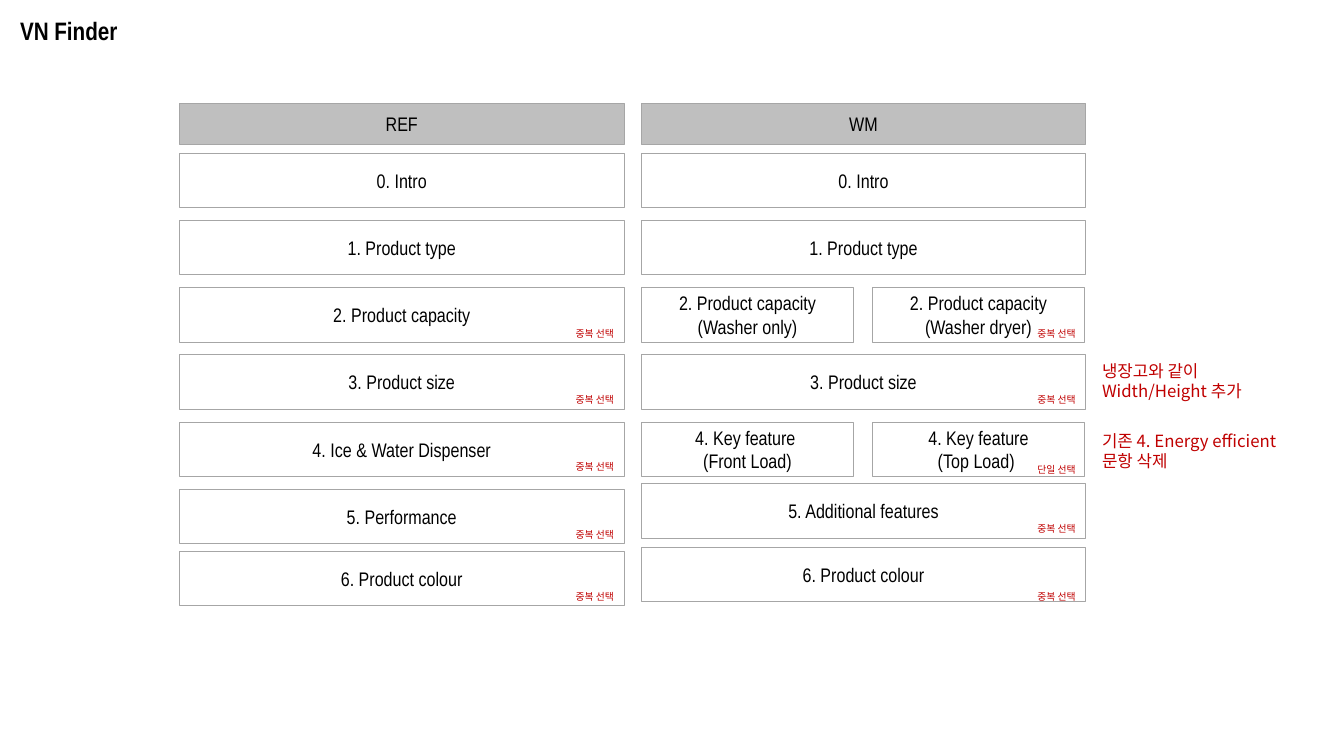
"""Build the VN Finder slide comparing the REF and WM question flows."""
from dataclasses import dataclass

from lxml import etree
from pptx import Presentation
from pptx.dml.color import RGBColor
from pptx.enum.shapes import MSO_SHAPE
from pptx.enum.text import MSO_ANCHOR, PP_ALIGN
from pptx.oxml.ns import qn
from pptx.util import Inches, Pt

RECTANGLE = MSO_SHAPE.RECTANGLE
MIDDLE = MSO_ANCHOR.MIDDLE
CENTER = PP_ALIGN.CENTER

LATIN_FONT = "Arial Narrow"
KOREAN_FONT = "Noto Sans CJK KR"
BLACK, RED, WHITE = "000000", "C00000", "FFFFFF"
HEADER_GREY, LINE_GREY = "BFBFBF", "A6A6A6"

FULL_WIDTH, HALF_WIDTH = 4.41, 2.11
HALF_OFFSET, TAG_OFFSET = 2.29, 3.92
HEADER_TOP, HEADER_HEIGHT = 1.03, 0.4
FIRST_TOP, ROW_PITCH, ROW_HEIGHT = 1.52, 0.667, 0.54
MULTIPLE, SINGLE = "중복 선택", "단일 선택"


@dataclass
class Step:
    labels: list[str]
    tag_top: float | None = None
    tag: str = MULTIPLE
    top: float | None = None


@dataclass
class Flow:
    title: str
    left: float
    steps: list[Step]


@dataclass
class Note:
    text: str
    left: float
    top: float
    width: float
    height: float
    size: float


FLOWS = [
    Flow("REF", 1.78, [
        Step(["0. Intro"]),
        Step(["1. Product type"]),
        Step(["2. Product capacity"], 3.24),
        Step(["3. Product size"], 3.9),
        Step(["4. Ice & Water Dispenser"], 4.56),
        Step(["5. Performance"], 5.24),
        Step(["6. Product colour"], 5.85, top=5.47),
    ]),
    Flow("WM", 6.36, [
        Step(["0. Intro"]),
        Step(["1. Product type"]),
        Step(["2. Product capacity\n(Washer only)",
              "2. Product capacity\n(Washer dryer)"], 3.24),
        Step(["3. Product size"], 3.9),
        Step(["4. Key feature \n(Front Load)",
              "4. Key feature\n(Top Load) "], 4.59, SINGLE),
        Step(["5. Additional features"], 5.18, top=4.8),
        Step(["6. Product colour"], 5.85, top=5.43),
    ]),
]

REMARKS = [
    Note("냉장고와 같이 Width/Height 추가", 10.92, 3.57, 1.99, 0.43, 12),
    Note("기존 4. Energy efficient 문항 삭제", 10.92, 4.26, 1.99, 0.43, 12),
]


def color(value: str) -> RGBColor:
    return RGBColor.from_string(value)


def set_margins(frame, margin: float) -> None:
    frame.margin_left = frame.margin_right = Inches(margin)
    frame.margin_top = frame.margin_bottom = Inches(margin)


def style_font(font, name: str, size: float, hue: str) -> None:
    font.name = name
    font.size = Pt(size)
    font.color.rgb = color(hue)


def add_box(page, label: str, left: float, top: float, width: float,
            height: float, fill: str | None = None) -> None:
    box = page.shapes.add_shape(RECTANGLE, Inches(left), Inches(top),
                                Inches(width), Inches(height))
    box.shadow.inherit = False
    if fill:
        box.fill.solid()
        box.fill.fore_color.rgb = color(fill)
    else:
        box.fill.background()
    box.line.color.rgb = color(LINE_GREY)
    box.line.width = Pt(0.75)
    frame = box.text_frame
    frame.word_wrap = True
    frame.vertical_anchor = MIDDLE
    set_margins(frame, 0)
    frame.text = label
    for para in frame.paragraphs:
        para.alignment = CENTER
        style_font(para.font, LATIN_FONT, 14, BLACK)


def add_note(page, note: Note) -> None:
    box = page.shapes.add_textbox(Inches(note.left), Inches(note.top),
                                  Inches(note.width), Inches(note.height))
    frame = box.text_frame
    frame.word_wrap = True
    set_margins(frame, 0.01)
    para = frame.paragraphs[0]
    para.space_before = Pt(3)
    span = para.add_run()
    span.text = note.text
    style_font(span.font, KOREAN_FONT, note.size, RED)
    east_asian = etree.Element(qn("a:ea"), typeface=KOREAN_FONT)
    span.font._element.find(qn("a:latin")).addnext(east_asian)


def add_title(page, text: str) -> None:
    box = page.shapes.add_textbox(Inches(0.1), Inches(0.1), Inches(1.18), Inches(0.4))
    box.text_frame.word_wrap = False
    box.text_frame.text = text
    font = box.text_frame.paragraphs[0].font
    style_font(font, LATIN_FONT, 18, BLACK)
    font.bold = True


def add_flow(page, flow: Flow) -> None:
    add_box(page, flow.title, flow.left, HEADER_TOP, FULL_WIDTH, HEADER_HEIGHT, HEADER_GREY)
    for row, step in enumerate(flow.steps):
        top = step.top or FIRST_TOP + row * ROW_PITCH
        width = FULL_WIDTH if len(step.labels) == 1 else HALF_WIDTH
        fill = WHITE if row == 0 else None
        for column, label in enumerate(step.labels):
            left = flow.left + column * HALF_OFFSET
            add_box(page, label, left, top, width, ROW_HEIGHT, fill)
        if step.tag_top:
            add_note(page, Note(step.tag, flow.left + TAG_OFFSET, step.tag_top, 0.79, 0.14, 7))


def main() -> None:
    deck = Presentation()
    deck.slide_width, deck.slide_height = Inches(13.33), Inches(7.5)
    page = deck.slides.add_slide(deck.slide_layouts[6])
    add_title(page, "VN Finder")
    for flow in FLOWS:
        add_flow(page, flow)
    for remark in REMARKS:
        add_note(page, remark)
    deck.save("out.pptx")


if __name__ == "__main__":
    main()
